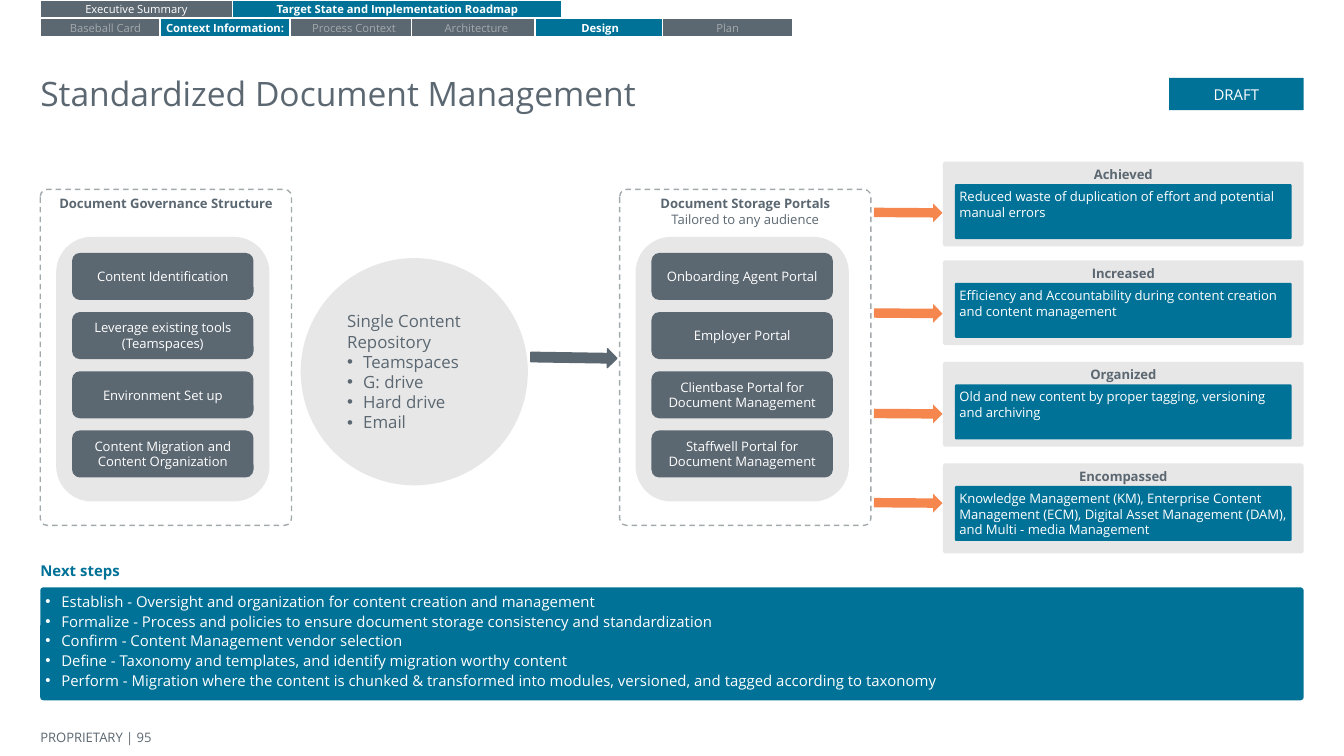
import pptx
import pptx.dml.color
import pptx.enum.dml
import pptx.enum.shapes
import pptx.enum.text
import pptx.util
from lxml import etree

Pt = pptx.util.Pt
RGB = pptx.dml.color.RGBColor.from_string
MSO = pptx.enum.shapes.MSO_SHAPE
ALIGN = pptx.enum.text.PP_ALIGN
ANCHOR = pptx.enum.text.MSO_ANCHOR
COLORS = {"slate": "5B6771", "teal": "007298", "light": "E7E7E7",
          "gray": "A3AAAD", "orange": "F5864E", "white": "FFFFFF"}


def add_box(kind, x, y, w, h, fill=None, line=None, adj=None):
    """Add a preset shape, or a plain text box when kind is None."""
    if kind is None:
        return slide.shapes.add_textbox(Pt(x), Pt(y), Pt(w), Pt(h))
    sp = slide.shapes.add_shape(kind, Pt(x), Pt(y), Pt(w), Pt(h))
    sp.shadow.inherit = False
    if adj is not None:
        sp.adjustments[0] = adj
    if fill:
        sp.fill.solid()
        sp.fill.fore_color.rgb = RGB(COLORS[fill])
    else:
        sp.fill.background()
    if line:
        sp.line.color.rgb = RGB(COLORS[line])
        sp.line.width = Pt(0.75)
    else:
        sp.line.fill.background()
    return sp


def set_text(sp, lines, size, color, bold=False, align=ALIGN.LEFT,
             anchor=ANCHOR.TOP, inset=2.2, bullets_from=None, gap=0):
    """Write one paragraph per line, bulleted from index bullets_from on."""
    tf = sp.text_frame
    tf.word_wrap = True
    tf.vertical_anchor = anchor
    tf.margin_left = tf.margin_right = tf.margin_top = tf.margin_bottom = Pt(inset)
    for i, line in enumerate(lines):
        p = tf.paragraphs[0] if i == 0 else tf.add_paragraph()
        p.text = line
        p.alignment = align
        if i and gap:
            p.space_before = Pt(gap)
        if bullets_from is not None and i >= bullets_from:
            pPr = p._p.get_or_add_pPr()
            pPr.set("marL", str(Pt(8.6)))
            pPr.set("indent", str(Pt(-10)))
            ns = "{" + pPr.nsmap["a"] + "}"
            bullet_color = etree.SubElement(pPr, ns + "buClr")
            etree.SubElement(bullet_color, ns + "srgbClr", val=COLORS[color])
            etree.SubElement(pPr, ns + "buFont", typeface="Arial")
            etree.SubElement(pPr, ns + "buChar", char="•")
        for r in p.runs:
            r.font.name = "Open Sans"
            r.font.size = Pt(size)
            r.font.bold = bold
            r.font.color.rgb = RGB(COLORS[color])


prs = pptx.Presentation()
prs.slide_width, prs.slide_height = Pt(720), Pt(405)
slide = prs.slides.add_slide(prs.slide_layouts[6])

# Footer, title and section heading
sp = add_box(None, 21.6, 388.1, 99.4, 13.7)
set_text(sp, ["PROPRIETARY | 95"], 7, "slate", anchor=ANCHOR.MIDDLE, inset=0)
sp = add_box(None, 21.6, 38.9, 676.8, 21.6)
set_text(sp, ["Standardized Document Management"], 18, "slate", inset=0)
sp = add_box(None, 21.6, 301, 180.7, 9.4)
set_text(sp, ["Next steps"], 8, "teal", bold=True, inset=0)
sp = add_box(MSO.RECTANGLE, 626.4, 41.8, 72, 17.3, "teal")
set_text(sp, ["DRAFT"], 8, "white", align=ALIGN.CENTER, anchor=ANCHOR.MIDDLE, inset=3.6)

# Navigation tabs: highlighted ones are teal; overlaps depend on the order
tabs = [
    ("Target State and Implementation Roadmap", 124.6, 0, 176.4, "teal", "white"),
    ("Executive Summary", 21.6, 0, 103, "slate", "white"),
    ("Process Context", 154.8, 10.1, 69.8, "slate", "gray"),
    ("Baseball Card", 21.6, 10.1, 69.8, "slate", "gray"),
    ("Architecture", 220.3, 10.1, 69.8, "slate", "gray"),
    ("Design", 286.6, 10.1, 69.8, "teal", "white"),
    ("Context Information:", 85.7, 10.1, 69.8, "teal", "white"),
    ("Plan", 355, 10.1, 69.8, "slate", "gray"),
]
for label, x, y, w, fill, color in tabs:
    sp = add_box(MSO.RECTANGLE, x, y, w, 9.4, fill, "white")
    set_text(sp, [label], 6, color, bold=fill == "teal",
             align=ALIGN.CENTER, anchor=ANCHOR.MIDDLE)

# Dashed panels with their stacked items
panels = [
    (21.6, ["Document Governance Structure"],
     ["Content Identification", "Leverage existing tools (Teamspaces)",
      "Environment Set up", "Content Migration and Content Organization"]),
    (332, ["Document Storage Portals", "Tailored to any audience"],
     ["Onboarding Agent Portal", "Employer Portal",
      "Clientbase Portal for Document Management",
      "Staffwell Portal for Document Management"]),
]
for x, heading, items in panels:
    sp = add_box(MSO.ROUNDED_RECTANGLE, x, 101.5, 134.6, 180, None, "gray", 0.028)
    sp.line.dash_style = pptx.enum.dml.MSO_LINE.DASH
    set_text(sp, heading, 7, "slate", bold=True, align=ALIGN.CENTER)
    for p in sp.text_frame.paragraphs[1:]:
        p.runs[0].font.bold = False
    add_box(MSO.ROUNDED_RECTANGLE, x + 8.5, 126.9, 114.3, 141.8, "light", adj=0.167)
    for i, item in enumerate(items):
        sp = add_box(MSO.ROUNDED_RECTANGLE, x + 17, 135.5 + 31.7 * i, 97.2, 25.2,
                     "slate", adj=0.167)
        set_text(sp, [item], 7, "white", align=ALIGN.CENTER,
                 anchor=ANCHOR.MIDDLE, inset=0)

# Central repository
sp = add_box(MSO.OVAL, 161.1, 138.3, 121.7, 121.7, "light")
set_text(sp, ["Single Content Repository", "Teamspaces", "G: drive", "Hard drive", "Email"],
         9, "slate", anchor=ANCHOR.MIDDLE, inset=7.2, bullets_from=1)
sp = add_box(MSO.RIGHT_ARROW, 284.4, 186.6, 46.1, 10.1, "slate", "slate")
sp.rotation = 0.9

# Outcome cards, each with the arrow leading to it
outcomes = [
    ("Achieved", 86.6, 45.4, 108.9,
     "Reduced waste of duplication of effort and potential manual errors"),
    ("Increased", 139.5, 45.4, 162.8,
     "Efficiency and Accountability during content creation and content management"),
    ("Organized", 193.9, 45.4, 216.6,
     "Old and new content by proper tagging, versioning and archiving"),
    ("Encompassed", 248.3, 48.2, 264.4,
     "Knowledge Management (KM), Enterprise Content Management (ECM), "
     "Digital Asset Management (DAM), and Multi - media Management"),
]
for heading, y, h, arrow_y, body in outcomes:
    sp = add_box(MSO.ROUNDED_RECTANGLE, 505.2, y, 193.2, h, "light", adj=0.028)
    set_text(sp, [heading], 7, "slate", bold=True, align=ALIGN.CENTER)
    sp = add_box(MSO.ROUNDED_RECTANGLE, 511.6, y + 12, 180.4, 29.5, "teal", adj=0.028)
    set_text(sp, [body], 7, "white")
    sp = add_box(MSO.RIGHT_ARROW, 468.2, arrow_y, 36.7, 10.1, "orange")
    sp.rotation = 0.4

# Next steps
sp = add_box(MSO.ROUNDED_RECTANGLE, 21.6, 314.7, 676.8, 60.5, "teal", adj=0.028)
set_text(sp, [
    "Establish - Oversight and organization for content creation and management",
    "Formalize - Process and policies to ensure document storage consistency and standardization",
    "Confirm - Content Management vendor selection",
    "Define - Taxonomy and templates, and identify migration worthy content",
    "Perform - Migration where the content is chunked & transformed into modules, "
    "versioned, and tagged according to taxonomy",
], 8, "white", bullets_from=0, gap=1)

prs.save("out.pptx")
